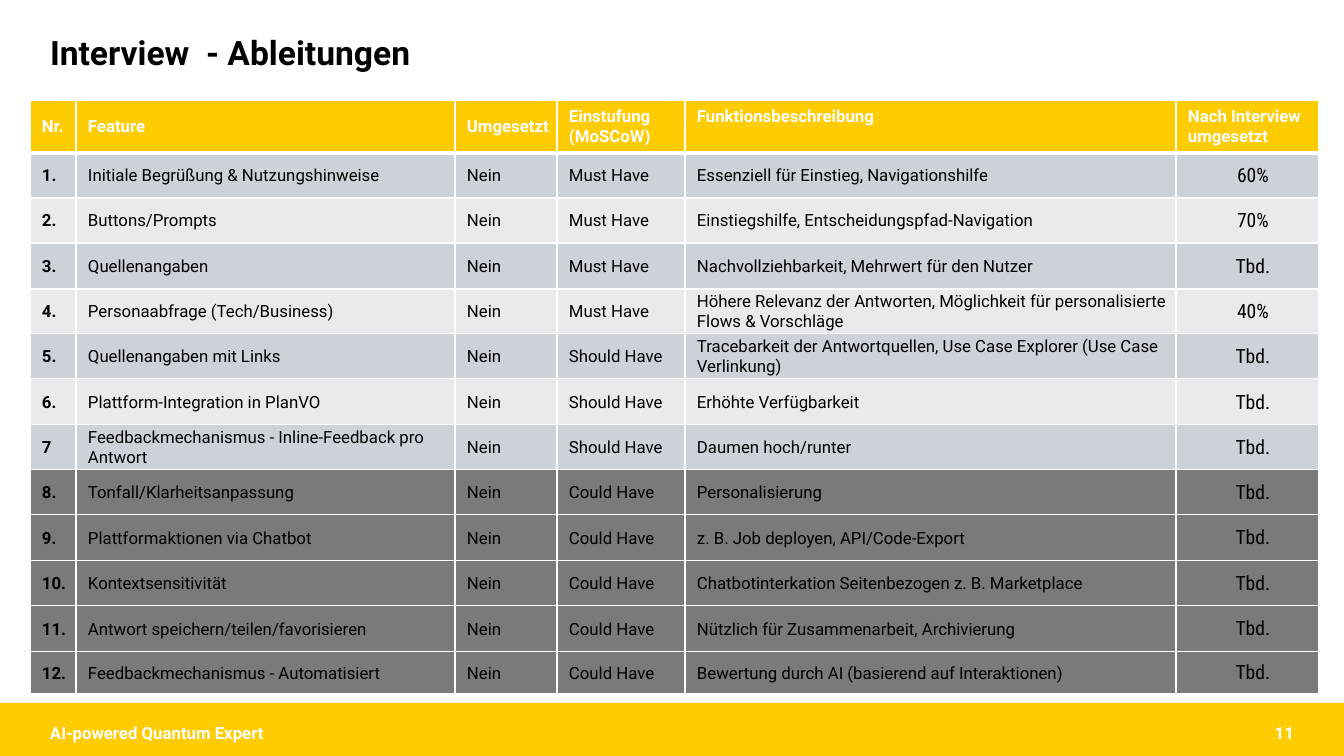
from dataclasses import dataclass
from itertools import pairwise

from lxml import etree
from pptx import Presentation, util as u
from pptx.dml import color
from pptx.enum import shapes, text
from pptx.oxml import ns

EMU_PER_PX = 12192000 / 1344


@dataclass(frozen=True)
class Theme:
    yellow: str = "FECC00"
    white: str = "FFFFFF"
    black: str = "000000"
    band_dark: str = "CCD2D8"
    band_light: str = "E8EAED"
    dimmed: str = "7B7A7A"
    font: str = "Roboto"
    status_font: str = "Roboto Condensed"
    title_size: int = 24
    status_size: int = 14
    body_size: int = 12


THEME = Theme()


@dataclass(frozen=True)
class TextStyle:
    size: int = THEME.body_size
    color: str = THEME.black
    bold: bool = False
    font: str = THEME.font
    align: text.PP_ALIGN = text.PP_ALIGN.LEFT


@dataclass(frozen=True)
class Label:
    content: str
    left: int
    top: int
    width: int
    height: int
    style: TextStyle
    line_spacing: float = 1.0


@dataclass(frozen=True)
class Feature:
    number: str
    name: str
    rating: str
    description: str
    status: str = "Tbd."
    implemented: str = "Nein"


LIGHT_BOLD = TextStyle(color=THEME.white, bold=True)
NUMBER = TextStyle(bold=True)
BODY = TextStyle()
STATUS = TextStyle(size=THEME.status_size, font=THEME.status_font,
                   align=text.PP_ALIGN.CENTER)
COLUMN_STYLES = (NUMBER, BODY, BODY, BODY, BODY, STATUS)

LABELS = (
    Label("Interview  - Ableitungen", 40, 31, 949, 47,
          TextStyle(size=THEME.title_size, bold=True), 0.9),
    Label("AI-powered Quantum Expert", 40, 722, 454, 21, LIGHT_BOLD),
    Label("11", 1002, 722, 302, 21,
          TextStyle(color=THEME.white, bold=True, align=text.PP_ALIGN.RIGHT)),
)

HEADINGS = ("Nr.", "Feature", "Umgesetzt", "Einstufung (MoSCoW)",
            "Funktionsbeschreibung", "Nach Interview umgesetzt")
MUST, SHOULD, COULD = "Must Have", "Should Have", "Could Have"
FEATURES = (
    Feature("1.", "Initiale Begrüßung & Nutzungshinweise", MUST,
            "Essenziell für Einstieg, Navigationshilfe", "60%"),
    Feature("2.", "Buttons/Prompts", MUST,
            "Einstiegshilfe, Entscheidungspfad-Navigation", "70%"),
    Feature("3.", "Quellenangaben", MUST,
            "Nachvollziehbarkeit, Mehrwert für den Nutzer"),
    Feature("4.", "Personaabfrage (Tech/Business)", MUST,
            "Höhere Relevanz der Antworten, Möglichkeit für personalisierte "
            "Flows & Vorschläge", "40%"),
    Feature("5.", "Quellenangaben mit Links", SHOULD,
            "Tracebarkeit der Antwortquellen, Use Case Explorer "
            "(Use Case Verlinkung)"),
    Feature("6.", "Plattform-Integration in PlanVO", SHOULD,
            "Erhöhte Verfügbarkeit"),
    Feature("7", "Feedbackmechanismus - Inline-Feedback pro Antwort", SHOULD,
            "Daumen hoch/runter"),
    Feature("8.", "Tonfall/Klarheitsanpassung", COULD, "Personalisierung"),
    Feature("9.", "Plattformaktionen via Chatbot", COULD,
            "z. B. Job deployen, API/Code-Export"),
    Feature("10.", "Kontextsensitivität", COULD,
            "Chatbotinterkation Seitenbezogen z. B. Marketplace"),
    Feature("11.", "Antwort speichern/teilen/favorisieren", COULD,
            "Nützlich für Zusammenarbeit, Archivierung"),
    Feature("12.", "Feedbackmechanismus - Automatisiert", COULD,
            "Bewertung durch AI (basierend auf Interaktionen)"),
)

COLUMN_WIDTHS = (46, 379, 102, 128, 491, 143)
TABLE_LEFT = 30
# Body rows share 499 px evenly; the last row is slightly shorter.
ROW_EDGES = (100, *(153 + 499 * row // 11 for row in range(12)), 694)


def px(length: int) -> u.Emu:
    return u.Emu(round(length * EMU_PER_PX))


def rgb(code: str) -> color.RGBColor:
    return color.RGBColor.from_string(code)


def style_text(text_frame, style: TextStyle) -> None:
    for paragraph in text_frame.paragraphs:
        paragraph.alignment = style.align
        for run in paragraph.runs:
            run.font.name = style.font
            run.font.size = u.Pt(style.size)
            run.font.bold = style.bold
            run.font.color.rgb = rgb(style.color)


def add_label(slide, label: Label) -> None:
    shape = slide.shapes.add_textbox(px(label.left), px(label.top),
                                     px(label.width), px(label.height))
    text_frame = shape.text_frame
    text_frame.word_wrap = True
    text_frame.vertical_anchor = text.MSO_ANCHOR.MIDDLE
    text_frame.margin_left = text_frame.margin_right = px(10)
    text_frame.margin_top = text_frame.margin_bottom = 0
    text_frame.text = label.content
    text_frame.paragraphs[0].line_spacing = label.line_spacing
    style_text(text_frame, label.style)


def add_footer_band(slide) -> None:
    shape = slide.shapes.add_shape(shapes.MSO_SHAPE.RECTANGLE,
                                   0, px(703), px(1344), px(53))
    shape.shadow.inherit = False
    shape.fill.solid()
    shape.fill.fore_color.rgb = rgb(THEME.yellow)
    shape.line.fill.background()


def set_borders(cell, top: int, bottom: int) -> None:
    """Draw white borders; top and bottom widths are in points."""
    properties = cell._tc.get_or_add_tcPr()
    widths = {"a:lnL": 1, "a:lnR": 1, "a:lnT": top, "a:lnB": bottom}
    for position, (tag, width) in enumerate(widths.items()):
        border = etree.Element(ns.qn(tag), w=str(u.Pt(width)))
        fill = etree.SubElement(border, ns.qn("a:solidFill"))
        etree.SubElement(fill, ns.qn("a:srgbClr"), val=THEME.white)
        properties.insert(position, border)


def fill_cell(cell, content: str, style: TextStyle, fill: str) -> None:
    cell.text_frame.text = content
    style_text(cell.text_frame, style)
    cell.vertical_anchor = text.MSO_ANCHOR.MIDDLE
    cell.margin_left, cell.margin_right = px(12), px(1)
    cell.margin_top, cell.margin_bottom = px(1), 0
    cell.fill.solid()
    cell.fill.fore_color.rgb = rgb(fill)


def row_fill(row: int, feature: Feature) -> str:
    if feature.rating == COULD:
        return THEME.dimmed
    return THEME.band_dark if row % 2 else THEME.band_light


def add_feature_table(slide) -> None:
    table = slide.shapes.add_table(
        len(FEATURES) + 1, len(HEADINGS), px(TABLE_LEFT), px(ROW_EDGES[0]),
        px(sum(COLUMN_WIDTHS)), px(ROW_EDGES[-1] - ROW_EDGES[0])).table
    table.first_row = table.horz_banding = False
    for column, width in zip(table.columns, COLUMN_WIDTHS):
        column.width = px(width)
    for row, (top, bottom) in zip(table.rows, pairwise(ROW_EDGES)):
        row.height = px(bottom - top)

    for column, heading in enumerate(HEADINGS):
        cell = table.cell(0, column)
        fill_cell(cell, heading, LIGHT_BOLD, THEME.yellow)
        set_borders(cell, top=1, bottom=3)
    # This heading lines up with the first line of its two-line neighbours.
    table.cell(0, HEADINGS.index("Funktionsbeschreibung")).margin_bottom = px(20)

    for row, feature in enumerate(FEATURES, start=1):
        contents = (feature.number, feature.name, feature.implemented,
                    feature.rating, feature.description, feature.status)
        for column, (content, style) in enumerate(zip(contents, COLUMN_STYLES)):
            cell = table.cell(row, column)
            fill_cell(cell, content, style, row_fill(row, feature))
            set_borders(cell, top=3 if row == 1 else 1, bottom=1)


def main() -> None:
    presentation = Presentation()
    presentation.slide_width, presentation.slide_height = px(1344), px(756)
    slide = presentation.slides.add_slide(presentation.slide_layouts[6])
    add_footer_band(slide)
    for label in LABELS:
        add_label(slide, label)
    add_feature_table(slide)
    presentation.save("out.pptx")


if __name__ == "__main__":
    main()
